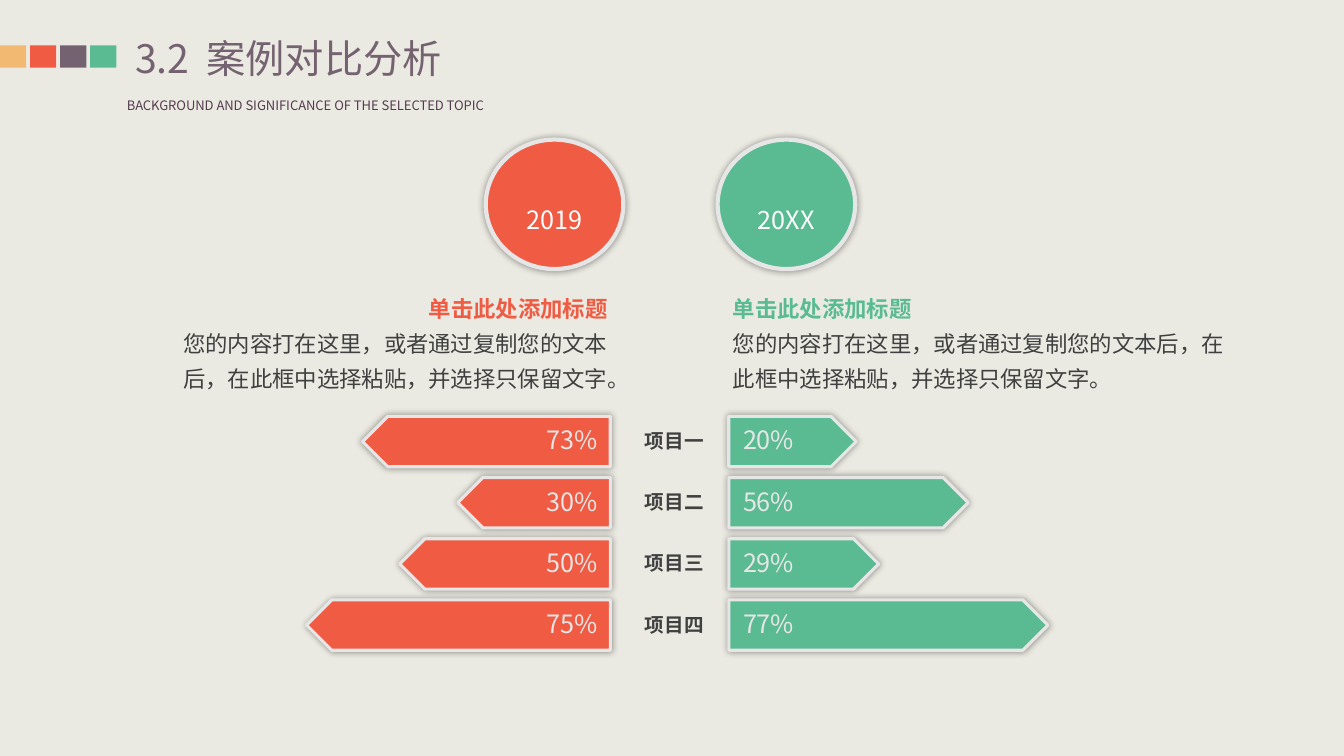
import pptx
import pptx.util
import pptx.dml.color
import pptx.enum.shapes
import pptx.enum.text
import pptx.oxml
import pptx.oxml.ns

Pt = pptx.util.Pt
SHAPE = pptx.enum.shapes.MSO_SHAPE
ALIGN = pptx.enum.text.PP_ALIGN
FONT = "Noto Sans CJK SC"
RED, GREEN, PLUM, SAND = "EF5B43", "5ABB93", "756271", "F2B973"
PALE, DARK = "E7E6E6", "404040"

NUMBER, TITLE = "3.2", "案例对比分析"
SUBTITLE = "BACKGROUND AND SIGNIFICANCE OF THE SELECTED TOPIC"
HEAD = "单击此处添加标题"
BODY = "您的内容打在这里，或者通过复制您的文本后，在此框中选择粘贴，并选择只保留文字。"
SQUARES = [SAND, RED, PLUM, GREEN]
# year, colour, circle left, text left, text width, alignment
SIDES = [
    ("2019", RED, 347, 118, 319, ALIGN.RIGHT),
    ("20XX", GREEN, 512.6, 520.6, 368, ALIGN.LEFT),
]
# label, left value, left bar length, right value, right bar length
ROWS = [
    ("项目一", "73%", 177, "20%", 91),
    ("项目二", "30%", 109, "56%", 171),
    ("项目三", "50%", 150.5, "29%", 107),
    ("项目四", "75%", 217, "77%", 228),
]
TOP, PITCH, BAR = 297.4, 43.7, 36
LEFT_END, RIGHT_START, MIDDLE = 436, 520.6, 481.6


def color(code):
    return pptx.dml.color.RGBColor.from_string(code)


def write(shape, *parts, size, tint=DARK, bold=False, align=ALIGN.LEFT,
          spacing=None, pad=(0, 0), wrap=False):
    """Fill a shape with paragraphs; a part is text or (text, colour, bold)."""
    frame = shape.text_frame
    frame.word_wrap = wrap
    frame.auto_size = pptx.enum.text.MSO_AUTO_SIZE.NONE
    frame.vertical_anchor = pptx.enum.text.MSO_ANCHOR.MIDDLE
    frame.margin_left = frame.margin_right = Pt(pad[0])
    frame.margin_top = frame.margin_bottom = Pt(pad[1])
    for i, part in enumerate(parts):
        words, hue, heavy = (part, tint, bold) if isinstance(part, str) else part
        para = frame.paragraphs[0] if i == 0 else frame.add_paragraph()
        para.alignment = align
        if spacing:
            para.line_spacing = spacing
        style(para.add_run(), words, size, hue, heavy)


def style(run, words, size, hue, heavy=False):
    run.text = words
    font = run.font
    font.name, font.size, font.bold = FONT, Pt(size), heavy
    font.color.rgb = color(hue)
    east = pptx.oxml.parse_xml(
        f'<a:ea {pptx.oxml.ns.nsdecls("a")} typeface="{FONT}"/>')
    font._element.find(pptx.oxml.ns.qn("a:latin")).addnext(east)


def box(x, y, w, h):
    return slide.shapes.add_textbox(Pt(x), Pt(y), Pt(w), Pt(h))


def draw(kind, x, y, w, h, fill, edge=0):
    """Add a preset shape; one with an edge also gets a soft glow-like shadow."""
    shape = slide.shapes.add_shape(kind, Pt(x), Pt(y), Pt(w), Pt(h))
    shape.shadow.inherit = False
    shape.fill.solid()
    shape.fill.fore_color.rgb = color(fill)
    if edge:
        shape.line.color.rgb = color(PALE)
        shape.line.width = Pt(edge)
        shape._element.spPr.find(pptx.oxml.ns.qn("a:effectLst")).append(
            pptx.oxml.parse_xml(
                f'<a:outerShdw {pptx.oxml.ns.nsdecls("a")} blurRad="{Pt(5)}" '
                'dist="0" dir="0" algn="ctr" rotWithShape="0">'
                '<a:srgbClr val="000000"><a:alpha val="40000"/></a:srgbClr>'
                '</a:outerShdw>'))
    else:
        shape.line.fill.background()
    return shape


deck = pptx.Presentation()
deck.slide_width, deck.slide_height = Pt(960), Pt(540)
slide = deck.slides.add_slide(deck.slide_layouts[5])
slide.background.fill.solid()
slide.background.fill.fore_color.rgb = color("EBEAE2")

title = slide.shapes.title
title.left, title.top, title.width, title.height = Pt(96.5), Pt(24.5), Pt(287), Pt(34)
write(title, NUMBER, size=28, tint=PLUM, wrap=True)
line = title.text_frame.paragraphs[0]
gap = line.add_run()
style(gap, " ", 28, PLUM)
gap.font._element.set("spc", "600")
style(line.add_run(), TITLE, 28, PLUM)

for i, hue in enumerate(SQUARES):
    draw(SHAPE.RECTANGLE, 21.5 * i, 32.4, 18.7, 16, hue)
write(box(83.5, 65.5, 293, 19), SUBTITLE, size=9.3, tint="543C4F", pad=(7.2, 3.6))

for year, hue, x, left, width, align in SIDES:
    circle = draw(SHAPE.OVAL, x, 99.7, 98.3, 92.5, hue, edge=3)
    write(circle, year, size=18, tint="FDFDFD", align=ALIGN.CENTER, spacing=2)
    write(box(left, 203, width, 78.5), (HEAD, hue, True), BODY, size=16,
          align=align, spacing=1.3, pad=(2.9, 1.4), wrap=True)

for i, (label, lost, short, won, long) in enumerate(ROWS):
    y = TOP + PITCH * i
    bar = draw(SHAPE.PENTAGON, LEFT_END - short, y, short, BAR, RED, edge=2.25)
    bar._element.spPr.xfrm.set("flipH", "1")
    draw(SHAPE.PENTAGON, RIGHT_START, y, long, BAR, GREEN, edge=2.25)
    for value, x in ((lost, 384.8), (won, 525)):
        write(box(x, y + 3, 48, 27.4), value, size=18, tint=PALE,
              align=ALIGN.CENTER, pad=(5, 2.9))
    write(box(MIDDLE - 26.6, y + 6.3, 53.2, 22.3), label, size=14, bold=True,
          align=ALIGN.CENTER, pad=(5, 2.9))

deck.save("out.pptx")
